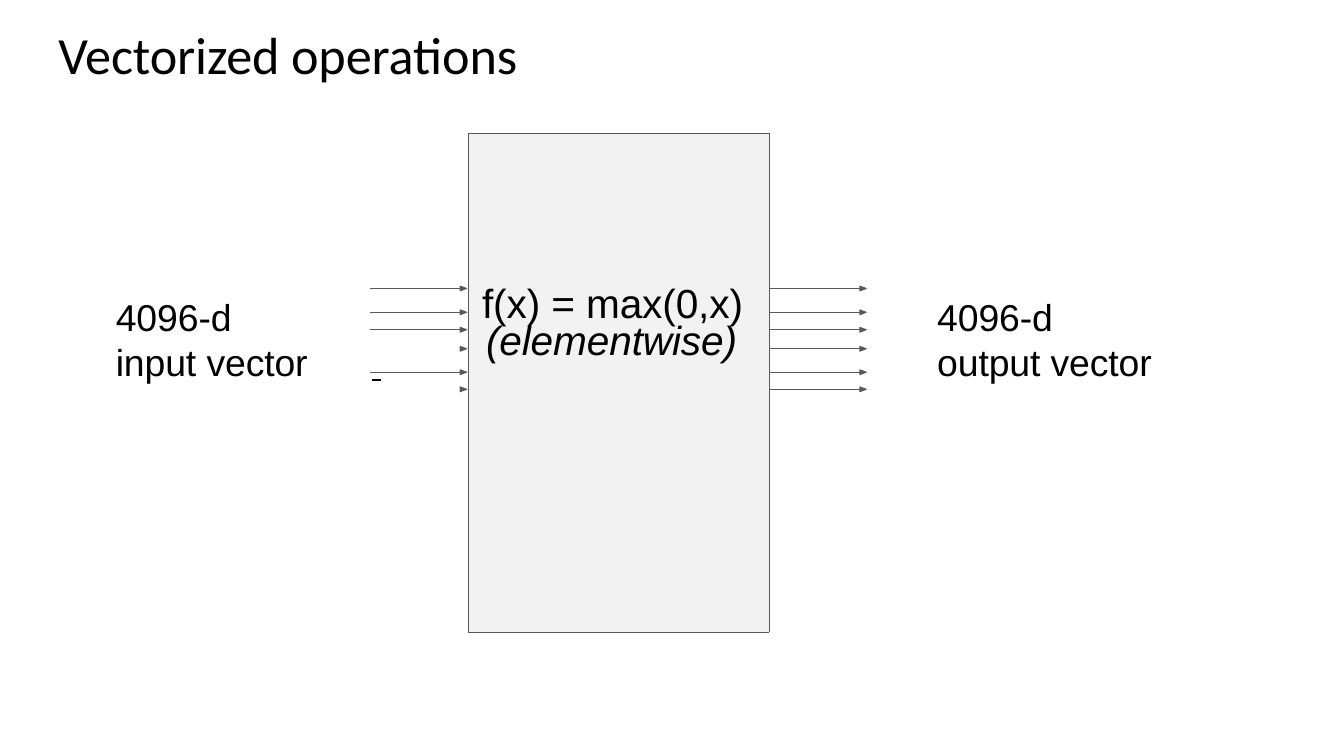
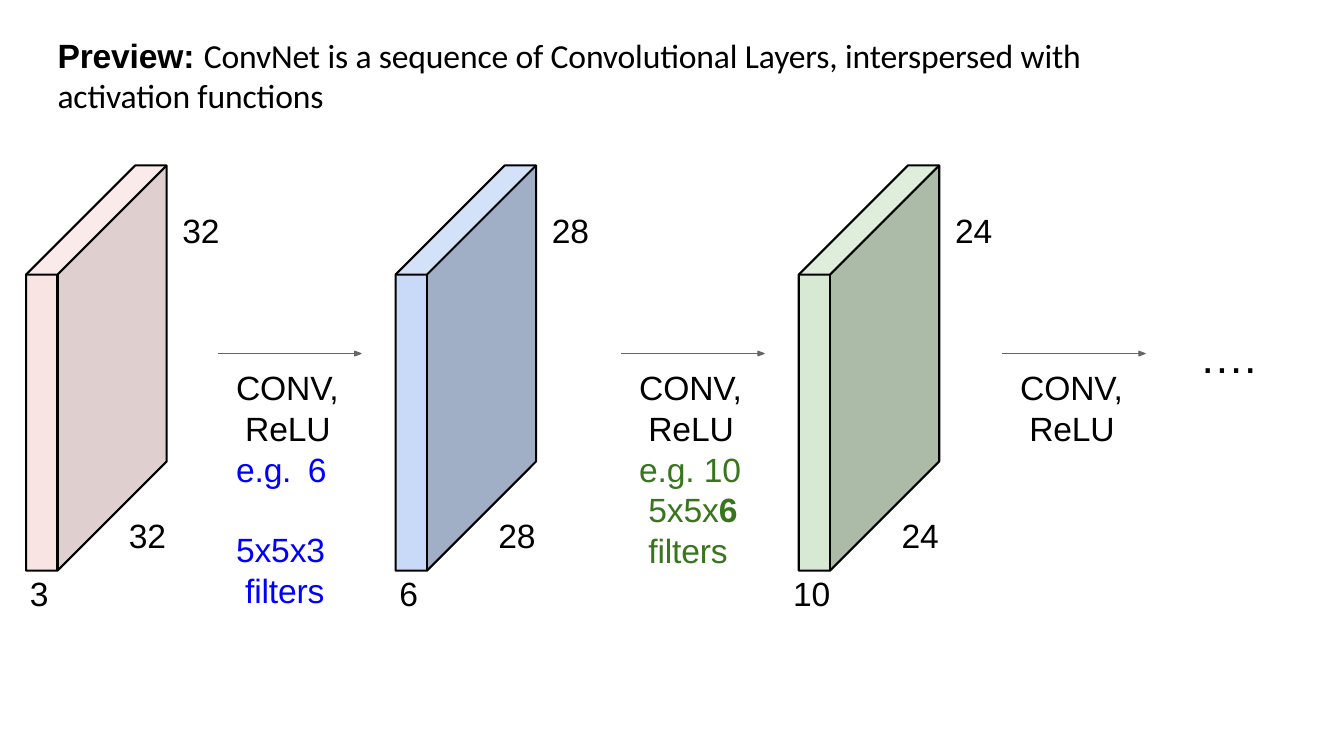
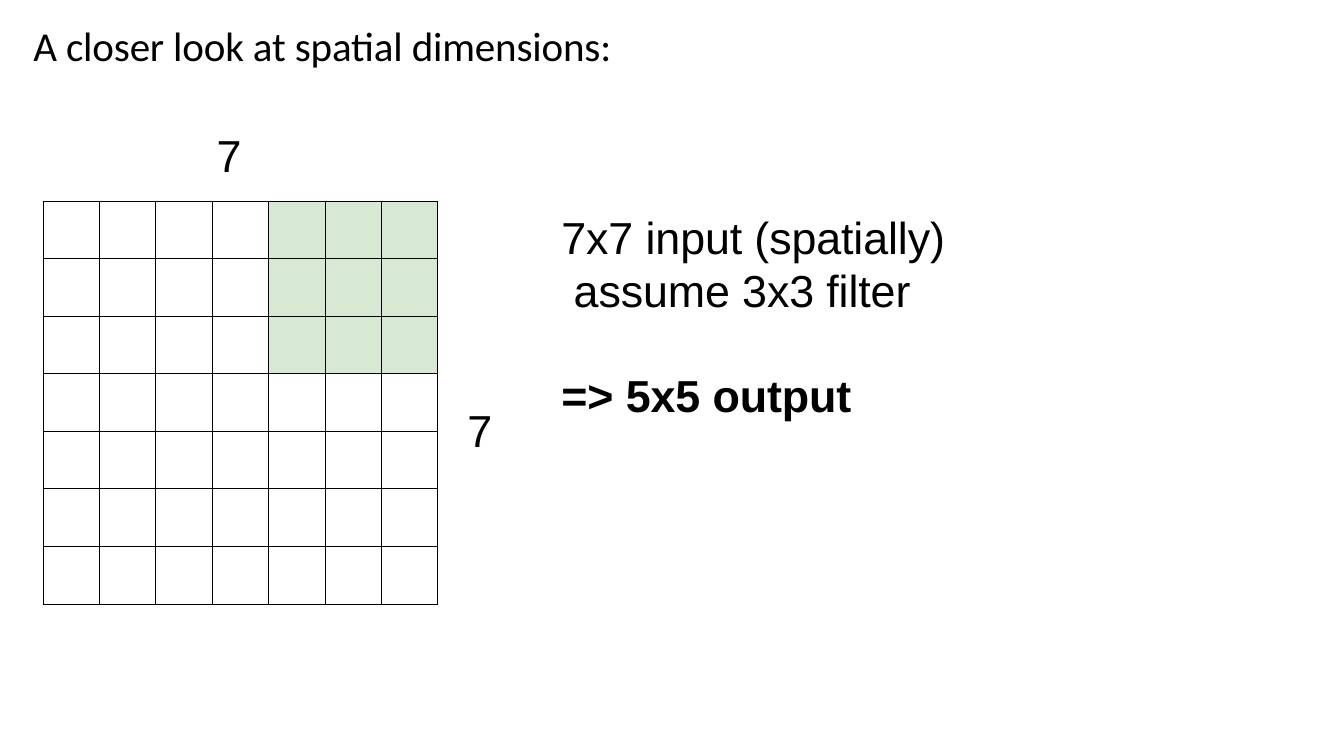
from dataclasses import dataclass
from itertools import pairwise
from typing import Optional, Sequence, Union

from lxml import etree
from pptx import Presentation
from pptx import util as u
from pptx.dml.color import RGBColor
from pptx.enum import shapes, text
from pptx.oxml.ns import qn
from pptx.slide import Slide
from pptx.text.text import TextFrame

BLACK = "000000"
GREY = "595959"
ARROW_GREY = "666666"
BOX_GREY = "F2F2F2"
BLUE = "0000FF"
GREEN = "38751C"
PALE_GREEN = "D8E9D3"
BODY_FONT = "Arial"
TITLE_FONT = "Calibri"
SPACE_INDENT = 0.23

BLOCK_TOP = 4.17
BLOCK_THICKNESS = 0.79
BLOCK_SHEAR = 2.75
BLOCK_HEIGHT = 7.46

BOX_TOP, BOX_BOTTOM = 3.37, 15.93
ARROW_ROWS = (7.27, 7.87, 8.31, 8.79, 9.38, 9.81)
HEAD_ONLY = (8.79, 9.81)


@dataclass(frozen=True)
class Span:
    words: str
    color: str = BLACK
    bold: bool = False
    italic: bool = False
    font: Optional[str] = None
    tracking: float = -0.1


@dataclass(frozen=True)
class Para:
    spans: Sequence[Span]
    indent: float = 0
    before: float = 0


@dataclass(frozen=True)
class Block:
    left: float
    side: str
    channels: str
    front_fill: str
    side_fill: str
    top_fill: str


@dataclass(frozen=True)
class Step:
    left: float
    example: Sequence[Para] = ()


def rgb(value: str) -> RGBColor:
    return RGBColor.from_string(value)


def line(words: str, *, indent: float = 0, before: float = 0, **style) -> Para:
    return Para((Span(words, **style),), indent, before)


def write(frame: TextFrame, paras: Sequence[Para], *, size: float, font: str = BODY_FONT,
          align: text.PP_ALIGN = text.PP_ALIGN.LEFT,
          spacing: Union[float, u.Length, None] = None) -> None:
    for index, item in enumerate(paras):
        para = frame.add_paragraph() if index else frame.paragraphs[0]
        para.alignment = align
        para.space_before = u.Pt(item.before)
        if spacing is not None:
            para.line_spacing = spacing
        if item.indent:
            properties = para._p.get_or_add_pPr()
            properties.set("marL", str(u.Cm(item.indent)))
            properties.set("indent", "0")
        for span in item.spans:
            run = para.add_run()
            run.text = span.words
            run.font.size = u.Pt(size)
            run.font.name = span.font or font
            run.font.bold = span.bold
            run.font.italic = span.italic
            run.font.color.rgb = rgb(span.color)
            run._r.get_or_add_rPr().set("spc", str(round(span.tracking * 100)))


def set_frame(frame: TextFrame, *, inset_left: float = 0.05, inset_top: float = 0.05,
              anchor: text.MSO_ANCHOR = text.MSO_ANCHOR.TOP) -> None:
    frame.word_wrap = True
    frame.auto_size = text.MSO_AUTO_SIZE.NONE
    frame.vertical_anchor = anchor
    frame.margin_left, frame.margin_top = u.Cm(inset_left), u.Cm(inset_top)
    frame.margin_right = frame.margin_bottom = 0


def add_text(page: Slide, content: Union[str, Sequence[Para]], left: float, top: float,
             width: float, height: float, *, inset_left: float = 0.05,
             inset_top: float = 0.05, **style) -> None:
    box = page.shapes.add_textbox(u.Cm(left), u.Cm(top), u.Cm(width), u.Cm(height))
    paras = (line(content, before=1.3),) if isinstance(content, str) else content
    set_frame(box.text_frame, inset_left=inset_left, inset_top=inset_top)
    write(box.text_frame, paras, **style)


def add_page(deck, spans: Sequence[Span], left: float, top: float,
             width: float, height: float, *, size: float) -> Slide:
    page = deck.slides.add_slide(deck.slide_layouts[5])
    title = page.shapes.title
    title.left, title.top = u.Cm(left), u.Cm(top)
    title.width, title.height = u.Cm(width), u.Cm(height)
    set_frame(title.text_frame, anchor=text.MSO_ANCHOR.MIDDLE)
    write(title.text_frame, (Para(spans, before=1.3),), size=size, font=TITLE_FONT)
    return page


def add_line(page: Slide, start: tuple[float, float], end: tuple[float, float], *,
             color: str = GREY, weight: float = 0.75) -> None:
    connector = page.shapes.add_connector(
        shapes.MSO_CONNECTOR.STRAIGHT, *(u.Cm(value) for value in (*start, *end)))
    connector.line.color.rgb = rgb(color)
    connector.line.width = u.Pt(weight)
    etree.SubElement(connector.element.spPr, qn("a:effectLst"))


def add_outline(page: Slide, points: Sequence[tuple[float, float]], *,
                fill: Optional[str] = None, outline: Optional[str] = None,
                weight: float = 1.5, close: bool = True) -> None:
    corners = [(u.Cm(x), u.Cm(y)) for x, y in points]
    builder = page.shapes.build_freeform(*corners[0])
    builder.add_line_segments(corners[1:], close=close)
    shape = builder.convert_to_shape()
    shape.shadow.inherit = False
    if fill:
        shape.fill.solid()
        shape.fill.fore_color.rgb = rgb(fill)
    else:
        shape.fill.background()
    if outline:
        shape.line.color.rgb = rgb(outline)
        shape.line.width = u.Pt(weight)
    else:
        shape.line.fill.background()


def add_head(page: Slide, left: float, y: float, color: str = GREY) -> None:
    add_outline(page, ((left, y + 0.06), (left, y - 0.06), (left + 0.16, y)),
                fill=color, outline=color, weight=0.75)


def set_cell(cell, *, edges: str, color: str, fill: Optional[str] = None) -> None:
    properties = cell._tc.get_or_add_tcPr()
    for edge in "LRTB":
        border = etree.SubElement(properties, qn(f"a:ln{edge}"), w=str(u.Pt(0.75)))
        if edge in edges:
            solid = etree.SubElement(border, qn("a:solidFill"))
            etree.SubElement(solid, qn("a:srgbClr"), val=color)
        else:
            etree.SubElement(border, qn("a:noFill"))
    if fill:
        cell.fill.solid()
        cell.fill.fore_color.rgb = rgb(fill)
    else:
        cell.fill.background()


def add_table(page: Slide, left: float, top: float, widths: Sequence[float],
              heights: Sequence[float]):
    table = page.shapes.add_table(len(heights), len(widths), u.Cm(left), u.Cm(top),
                                  u.Cm(sum(widths)), u.Cm(sum(heights))).table
    table.first_row = table.horz_banding = False
    for column, width in zip(table.columns, widths):
        column.width = u.Cm(width)
    for row, height in zip(table.rows, heights):
        row.height = u.Cm(height)
    return table


def add_function_box(page: Slide) -> None:
    heights = [end - start for start, end in pairwise((BOX_TOP, *ARROW_ROWS, BOX_BOTTOM))]
    table = add_table(page, 11.81, BOX_TOP, (7.57, 2.29), heights)
    last = len(heights) - 1
    for index, row in enumerate(table.rows):
        label, shaft = row.cells
        set_cell(label, edges="LRTB", color=GREY, fill=BOX_GREY)
        edges = "L" + ("T" if index > 0 else "") + ("B" if index < last else "")
        set_cell(shaft, edges=edges, color=GREY)
        for cell in row.cells:
            cell.margin_left = cell.margin_right = cell.margin_top = cell.margin_bottom = 0
            if index or cell is shaft:
                etree.SubElement(cell.text_frame.paragraphs[0]._p,
                                 qn("a:endParaRPr"), sz="600")
    box = table.cell(0, 0)
    box.merge(table.cell(last, 0))
    box.margin_left, box.margin_top = u.Cm(0.34), u.Cm(3.95)
    write(box.text_frame,
          (line("f(x) = max(0,x)"), line("(elementwise)", indent=0.1, italic=True)),
          size=29, spacing=u.Pt(26.3))


def add_grid(page: Slide, count: int, marked: int) -> None:
    table = add_table(page, 1.09, 5.07, [1.42] * count, [1.45] * count)
    for row_index, row in enumerate(table.rows):
        for column_index, cell in enumerate(row.cells):
            inside = row_index < marked and column_index >= count - marked
            set_cell(cell, edges="LRTB", color=BLACK, fill=PALE_GREEN if inside else None)


def add_block(page: Slide, block: Block) -> None:
    left, edge = block.left, block.left + BLOCK_THICKNESS
    front_top = BLOCK_TOP + BLOCK_SHEAR
    bottom = front_top + BLOCK_HEIGHT
    front_left, front_right = (left, front_top), (edge, front_top)
    base_left, base_right = (left, bottom), (edge, bottom)
    back_left = (left + BLOCK_SHEAR, BLOCK_TOP)
    back_right = (edge + BLOCK_SHEAR, BLOCK_TOP)
    back_base = (edge + BLOCK_SHEAR, BLOCK_TOP + BLOCK_HEIGHT)
    add_outline(page, (front_left, front_right, base_right, base_left), fill=block.front_fill)
    add_outline(page, (base_right, front_right, back_right, back_base), fill=block.side_fill)
    add_outline(page, (front_right, front_left, back_left, back_right), fill=block.top_fill)
    add_outline(page, (front_left, back_left, back_right, back_base, base_right, base_left),
                outline=BLACK)
    add_outline(page, (front_left, front_right, back_right), outline=BLACK, close=False)
    add_line(page, front_right, base_right, color=BLACK, weight=1.5)
    add_text(page, block.side, left + 2.54, 12.93, 1.2, 1.07, size=24)
    add_text(page, block.side, left + 3.89, 5.24, 1.2, 1.07, size=24)
    add_text(page, block.channels, left - 0.27, 14.38, 1.2, 1.07, size=24,
             align=text.PP_ALIGN.CENTER, inset_left=0)


def add_step(page: Slide, step: Step) -> None:
    head = step.left + 3.45
    add_line(page, (step.left, 8.91), (head, 8.91), color=ARROW_GREY)
    add_head(page, head, 8.91, ARROW_GREY)
    paras = (line("CONV,", before=1.1), line("ReLU", indent=SPACE_INDENT), *step.example)
    add_text(page, paras, step.left + 0.41, 9.19, 3.2, 1.05 * len(paras),
             size=24, spacing=1.01)


def build_vectorized(deck) -> None:
    page = add_page(deck, (Span("Vectorized operations"),), 1.42, 0.51, 12.8, 1.65, size=37.3)
    for y in ARROW_ROWS:
        if y not in HEAD_ONLY:
            add_line(page, (9.32, y), (11.6, y))
        add_head(page, 11.6, y)
        add_head(page, 21.67, y)
    add_function_box(page)
    add_line(page, (9.37, 9.58), (9.6, 9.58), color=BLACK, weight=1.25)
    for left, words in ((2.87, "input vector"), (23.57, "output vector")):
        add_text(page, (line("4096-d", before=1.3), line(words)),
                 left, 7.37, 6, 2.34, size=26.7)


def build_preview(deck) -> None:
    page = add_page(
        deck,
        (Span("Preview: ", bold=True, font=BODY_FONT),
         Span("ConvNet is a sequence of Convolutional Layers, "
              "interspersed with activation functions")),
        1.4, 0.81, 28.5, 2.11, size=24)
    blocks = (
        Block(0.66, "32", "3", "F9E4E4", "E0CFCF", "FAEAEA"),
        Block(9.97, "28", "6", "C8DAF7", "A0AEC6", "D3E1F9"),
        Block(20.13, "24", "10", PALE_GREEN, "ACBAA8", "DFEDDB"),
    )
    steps = (
        Step(5.49, (Para((Span("e.g.", BLUE), Span(" ", BLUE, tracking=5), Span("6", BLUE))),
                    line("5x5x3", color=BLUE, before=28.7),
                    line("filters", color=BLUE, indent=SPACE_INDENT))),
        Step(15.65, (line("e.g. 10", color=GREEN),
                     Para((Span("5x5x", GREEN), Span("6", GREEN, bold=True)), SPACE_INDENT),
                     line("filters", color=GREEN, indent=SPACE_INDENT))),
        Step(25.25),
    )
    for block, step in zip(blocks, steps):
        add_block(page, block)
        add_step(page, step)
    add_text(page, "….", 30.18, 8.23, 2, 1.42, size=32)


def build_spatial(deck) -> None:
    page = add_page(deck, (Span("A closer look at spatial dimensions:"),),
                    0.79, 0.46, 16.26, 1.3, size=29.3)
    add_grid(page, 7, 3)
    add_text(page, "7", 5.41, 3.18, 1, 1.42, size=32)
    add_text(page, "7", 11.73, 10.1, 1, 1.42, size=32)
    add_text(page, (line("7x7 input (spatially)", before=2.9),
                    line("assume 3x3 filter", indent=0.31)),
             14.1, 5.2, 11, 2.82, size=32, spacing=u.Pt(38), inset_top=0.1)
    add_text(page, (line("=> 5x5 output", before=1.3, bold=True),),
             14.1, 9.21, 9, 1.42, size=32)


def main() -> None:
    deck = Presentation()
    deck.slide_width, deck.slide_height = u.Cm(33.87), u.Cm(19.05)
    build_vectorized(deck)
    build_preview(deck)
    build_spatial(deck)
    deck.save("out.pptx")


if __name__ == "__main__":
    main()
